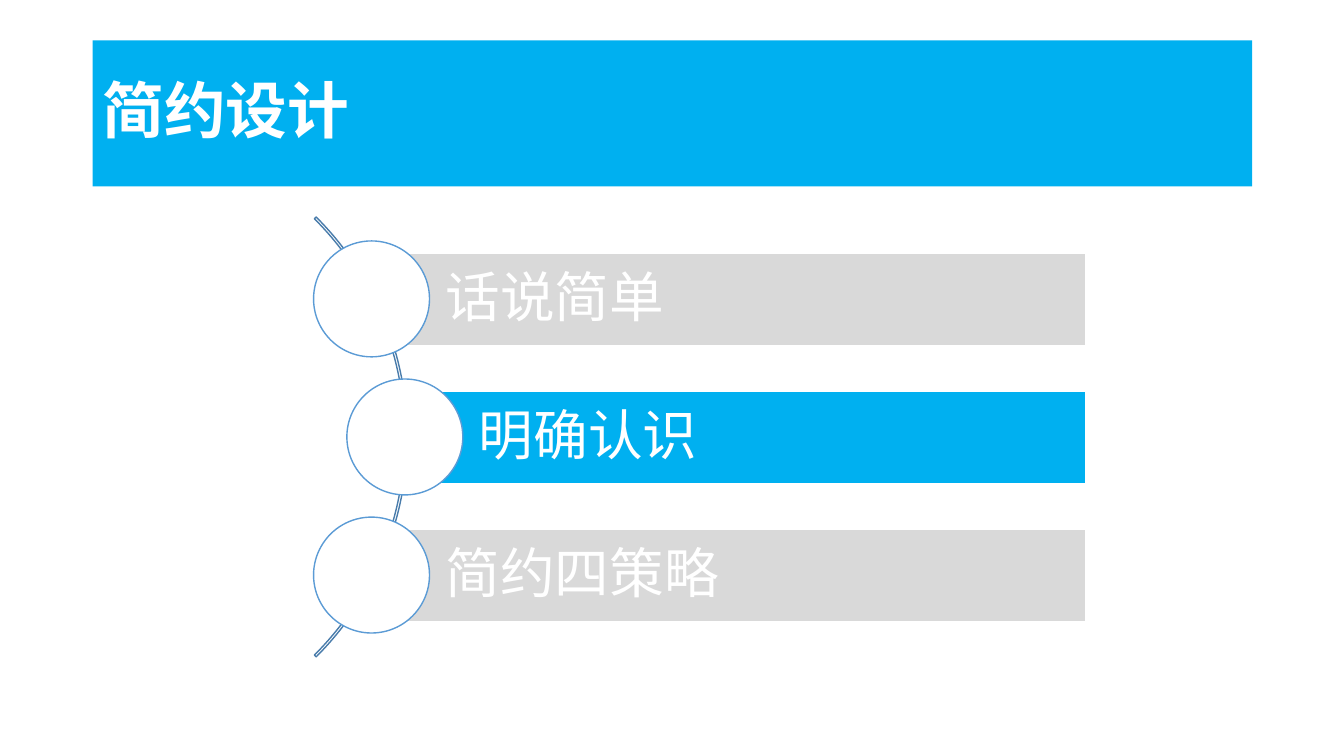
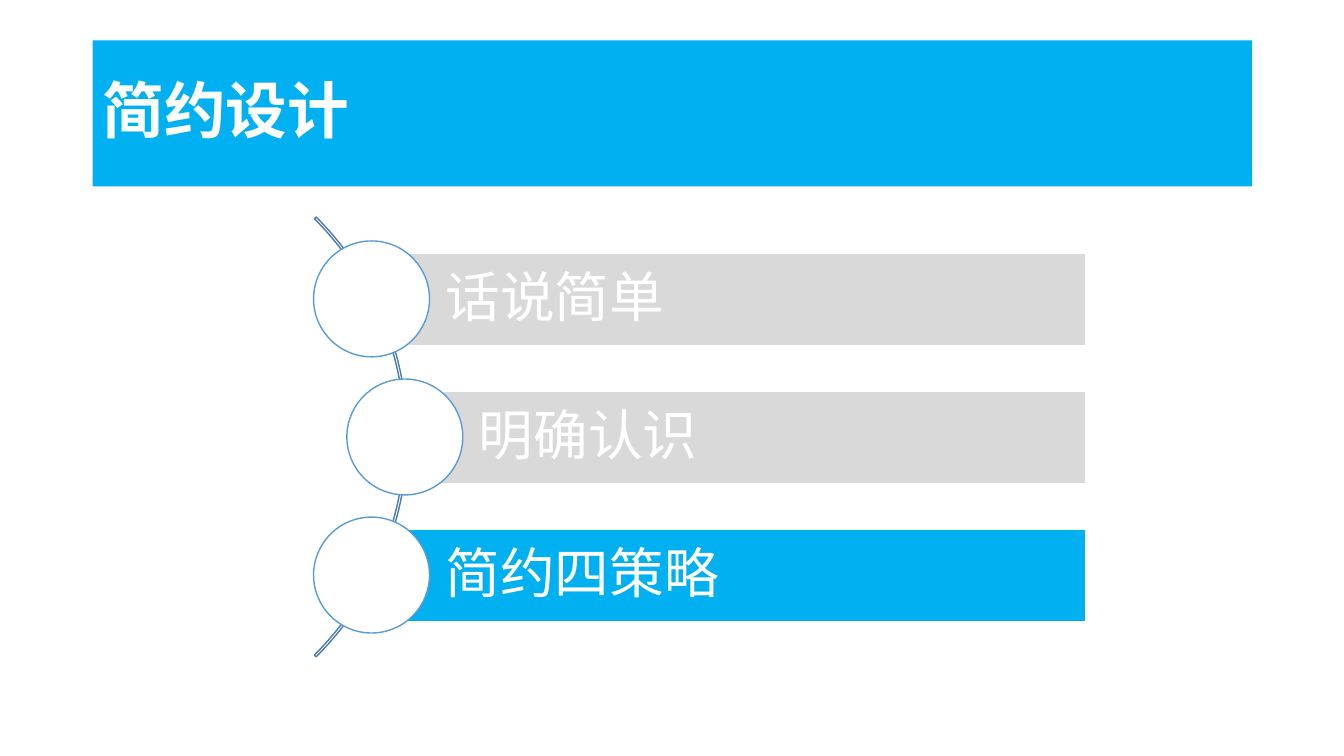
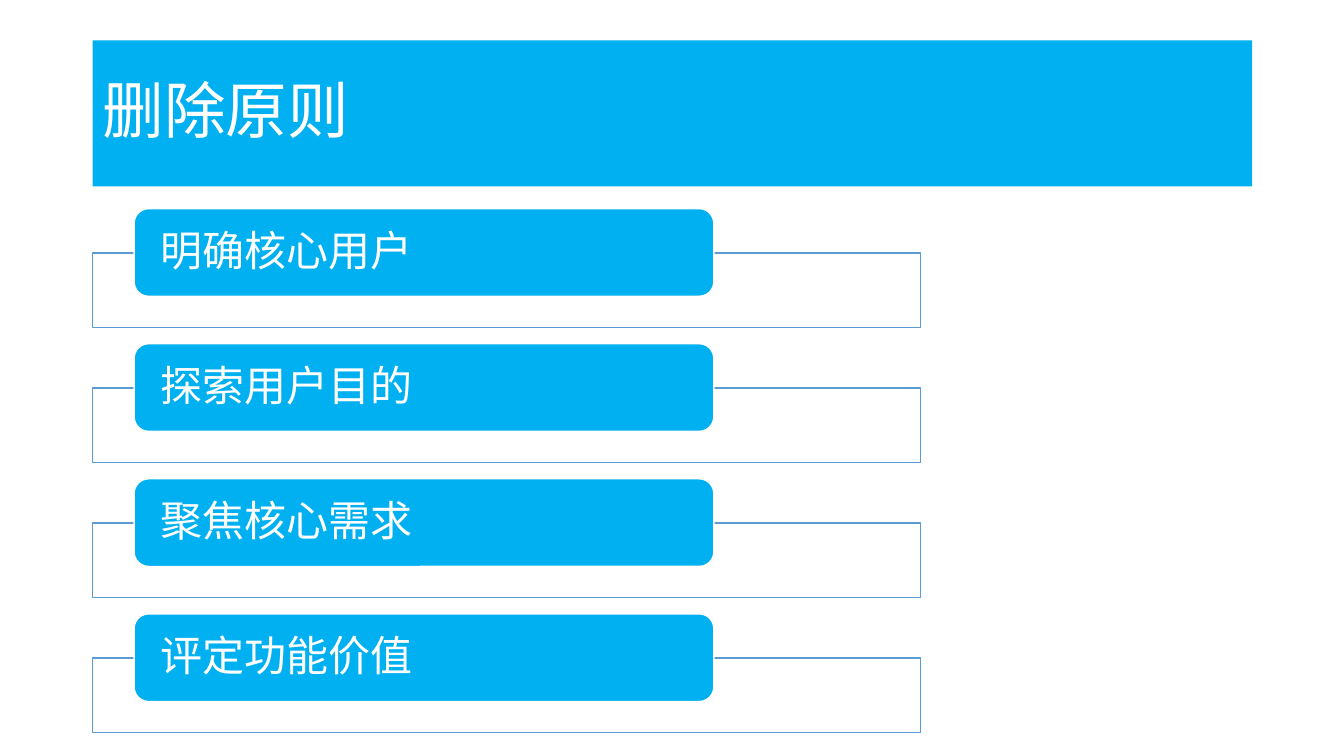
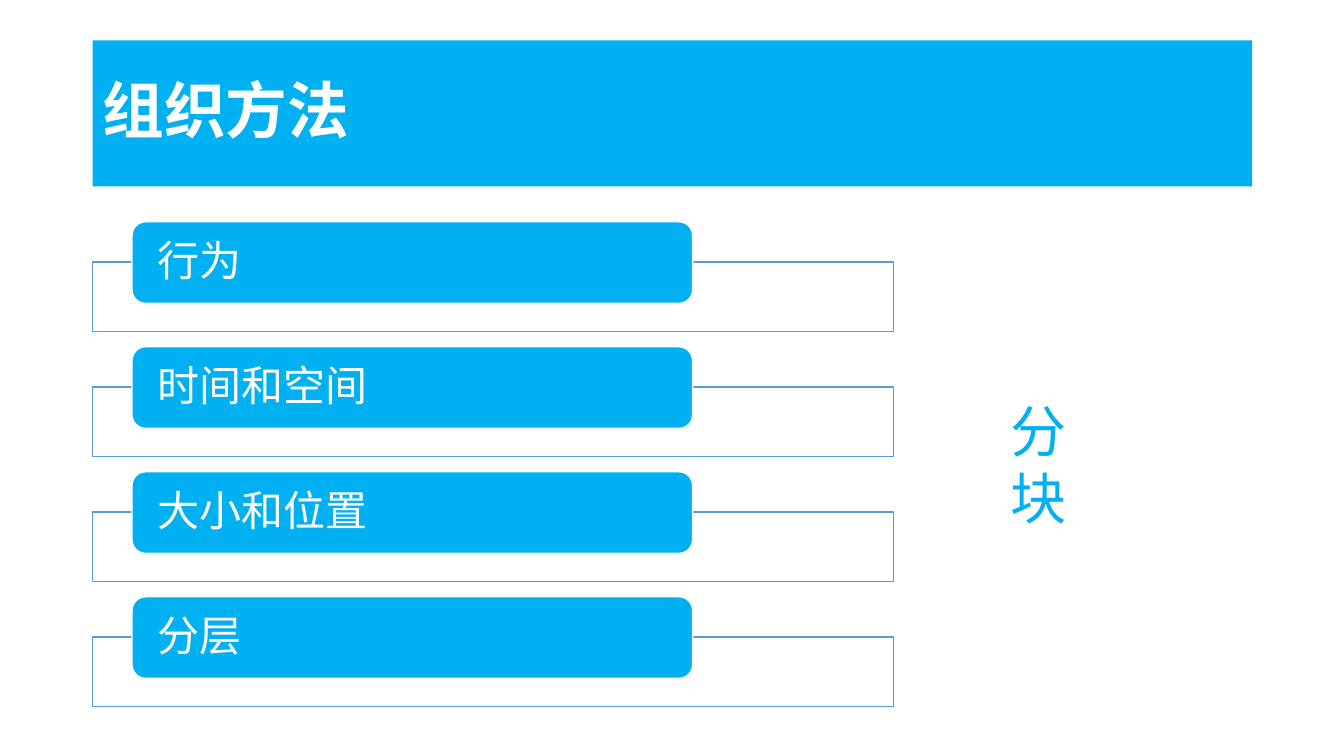
"""Build four slides on simple design: two agendas and two lists of principles."""
from lxml import etree
from pptx import Presentation
from pptx.dml.color import RGBColor
from pptx.enum.shapes import MSO_SHAPE as SHAPE
from pptx.enum.text import MSO_ANCHOR as ANCHOR, MSO_AUTO_SIZE as AUTO, PP_ALIGN as ALIGN
from pptx.oxml.ns import qn
from pptx.util import Inches, Pt

BLUE = RGBColor(0x00, 0xB0, 0xF0)
GREY = RGBColor(0xD9, 0xD9, 0xD9)
WHITE = RGBColor(0xFF, 0xFF, 0xFF)
OUTLINE = RGBColor(0x5B, 0x9B, 0xD5)
ARC_LINE = RGBColor(0x49, 0x7C, 0xAB)
FONT = "Noto Sans CJK SC"

TITLE_STYLE = dict(size=Pt(44), bold=True)
PLAIN_TITLE_STYLE = dict(size=Pt(44), bold=False)
AGENDA_STYLE = dict(size=Pt(39))
PILL_STYLE = dict(size=Pt(30))
LABEL_STYLE = dict(size=Pt(40))

AGENDA = ["话说简单", "明确认识", "简约四策略"]
DELETE_RULES = ["明确核心用户", "探索用户目的", "聚焦核心需求", "评定功能价值"]
ORDER_METHODS = ["行为", "时间和空间", "大小和位置", "分层"]


def add_shape(s, kind, box, fill=None, line=None, alpha=None):
    sp = s.shapes.add_shape(kind, *map(Inches, box))
    sp.shadow.inherit = False
    if fill is None:
        sp.fill.background()
    else:
        sp.fill.solid()
        sp.fill.fore_color.rgb = fill
    if alpha is not None:
        color = sp.fill._xPr.find(qn("a:solidFill"))[0]
        etree.SubElement(color, qn("a:alpha"), val=str(alpha * 1000))
    if line is None:
        sp.line.fill.background()
    else:
        sp.line.color.rgb = line
        sp.line.width = Pt(1)
    return sp


def add_text(sp, text, style, color=WHITE, insets=(0.1, 0.05, 0.1, 0.05),
             anchor=ANCHOR.MIDDLE, spacing=0.9):
    tf = sp.text_frame
    sides = ("margin_left", "margin_top", "margin_right", "margin_bottom")
    frame = dict(zip(sides, map(Inches, insets)), word_wrap=True, vertical_anchor=anchor)
    for name, value in frame.items():
        setattr(tf, name, value)
    p = tf.paragraphs[0]
    p.alignment = ALIGN.LEFT
    p.line_spacing = spacing
    r = p.add_run()
    r.text = text
    for name, value in dict(style, name=FONT).items():
        setattr(r.font, name, value)
    r.font.color.rgb = color
    etree.SubElement(r.font._element, qn("a:ea"), typeface=FONT)


def add_titled_slide(prs, title, style=TITLE_STYLE):
    s = prs.slides.add_slide(prs.slide_layouts[6])
    band = add_shape(s, SHAPE.RECTANGLE, (0.92, 0.4, 11.5, 1.45), BLUE)
    add_text(band, title, style)
    return s


def add_agenda(s, active):
    arc = add_shape(s, SHAPE.BLOCK_ARC, (-2.13, 1.25, 6.17, 6.17), line=ARC_LINE)
    for i, value in enumerate((189, 27, 0.004)):
        arc.adjustments[i] = value
    right, pitch = 10.77, 1.37
    for i, text in enumerate(AGENDA):
        left = 4.02 if i == 1 else 3.69
        top = 2.51 + i * pitch
        bar = add_shape(s, SHAPE.RECTANGLE, (left, top, right - left, 0.92),
                        BLUE if i == active else GREY, WHITE)
        add_text(bar, text, AGENDA_STYLE, insets=(0.73, 0.11, 0.11, 0.11))
        add_shape(s, SHAPE.OVAL, (left - 0.58, top - 0.12, 1.15, 1.15), WHITE, OUTLINE)


def add_pill_list(s, items, top, pitch, frame_size, pill_size, offset, inset):
    left = 0.92
    for i, text in enumerate(items):
        y = top + i * pitch
        add_shape(s, SHAPE.RECTANGLE, (left, y, *frame_size), WHITE, OUTLINE, alpha=90)
        pill = add_shape(s, SHAPE.ROUNDED_RECTANGLE,
                         (left + offset[0], y - offset[1], *pill_size), BLUE, WHITE)
        add_text(pill, text, PILL_STYLE, insets=(inset, 0, inset, 0))


def add_side_label(s, text):
    box = s.shapes.add_textbox(*map(Inches, (9.92, 3.88, 0.49, 1.45)))
    add_text(box, text, LABEL_STYLE, BLUE, anchor=ANCHOR.TOP, spacing=1.0)
    box.text_frame.auto_size = AUTO.SHAPE_TO_FIT_TEXT


def main():
    prs = Presentation()
    prs.slide_width, prs.slide_height = Inches(13.33), Inches(7.5)

    for active in (1, 2):
        add_agenda(add_titled_slide(prs, "简约设计"), active)

    s = add_titled_slide(prs, "删除原则", PLAIN_TITLE_STYLE)
    add_pill_list(s, DELETE_RULES, top=2.51, pitch=1.34, frame_size=(8.21, 0.74),
                  pill_size=(5.75, 0.87), offset=(0.41, 0.44), inset=0.22)

    s = add_titled_slide(prs, "组织方法")
    add_side_label(s, "分块")
    add_pill_list(s, ORDER_METHODS, top=2.6, pitch=1.24, frame_size=(7.94, 0.69),
                  pill_size=(5.56, 0.81), offset=(0.39, 0.4), inset=0.21)

    prs.save("out.pptx")


if __name__ == "__main__":
    main()
